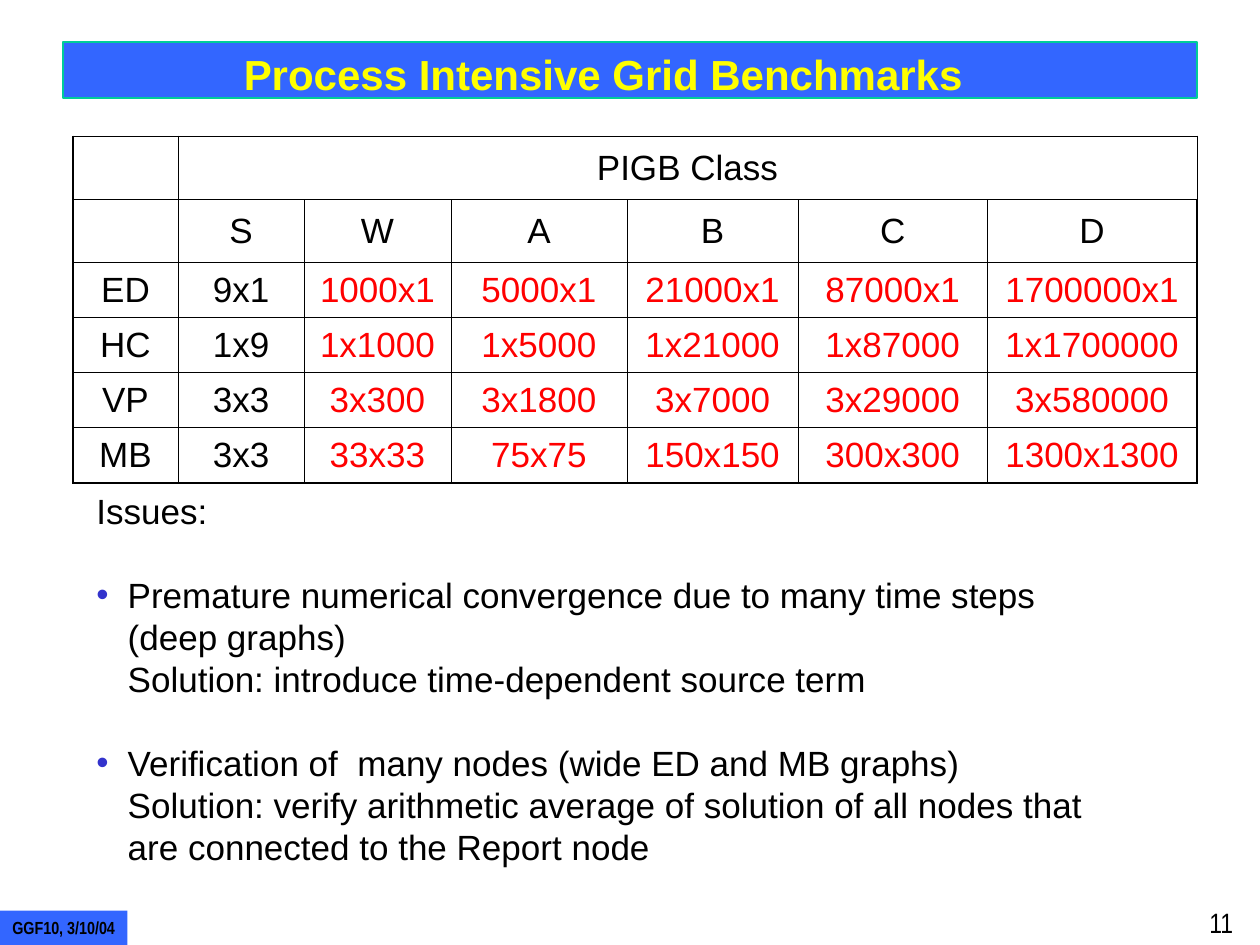
from lxml import etree
from pptx import Presentation
from pptx.dml.color import RGBColor
from pptx.enum.shapes import MSO_SHAPE
from pptx.enum.text import MSO_ANCHOR, MSO_AUTO_SIZE, PP_ALIGN
from pptx.oxml.ns import qn
from pptx.util import Cm, Pt

BLUE = RGBColor(0x33, 0x66, 0xFF)
TEAL = RGBColor(0x00, 0xCC, 0x99)
YELLOW = RGBColor(0xFF, 0xFF, 0x00)
BLACK = RGBColor(0x00, 0x00, 0x00)
RED = RGBColor(0xFF, 0x00, 0x00)
BULLET_BLUE = RGBColor(0x33, 0x33, 0xCC)

RECTANGLE = MSO_SHAPE.RECTANGLE
LEFT, CENTER = PP_ALIGN.LEFT, PP_ALIGN.CENTER
TOP, MIDDLE = MSO_ANCHOR.TOP, MSO_ANCHOR.MIDDLE
NO_AUTOFIT = MSO_AUTO_SIZE.NONE

HAIRLINE, OUTLINE = Pt(0.45), Pt(1.08)
COLUMN_WIDTHS = [2.12, 2.54, 2.96, 3.55, 3.45, 3.81, 4.23]
ROW_HEIGHTS = [1.27] * 2 + [1.11] * 4
BENCHMARKS = [
    ["", "PIGB Class", "", "", "", "", ""],
    ["", "S", "W", "A", "B", "C", "D"],
    ["ED", "9x1", "1000x1", "5000x1", "21000x1", "87000x1", "1700000x1"],
    ["HC", "1x9", "1x1000", "1x5000", "1x21000", "1x87000", "1x1700000"],
    ["VP", "3x3", "3x300", "3x1800", "3x7000", "3x29000", "3x580000"],
    ["MB", "3x3", "33x33", "75x75", "150x150", "300x300", "1300x1300"],
]
ISSUES = [
    "Issues:",
    "Premature numerical convergence due to many time steps (deep graphs)\n"
    "Solution: introduce time-dependent source term",
    "Verification of  many nodes (wide ED and MB graphs)\n"
    "Solution: verify arithmetic average of solution of all nodes that "
    "are connected to the Report node",
]


def format_runs(paragraph, size, color, font="Arial", bold=False):
    for run in paragraph.runs:
        run.font.name = font
        run.font.size = Pt(size)
        run.font.bold = bold
        run.font.color.rgb = color


def place(shape, left, top, width, height):
    shape.left, shape.top = Cm(left), Cm(top)
    shape.width, shape.height = Cm(width), Cm(height)


def prepare_frame(frame, wrap=True):
    frame.auto_size = NO_AUTOFIT
    frame.word_wrap = wrap
    frame.vertical_anchor = TOP


def add_band(slide, left, top, width, height):
    band = slide.shapes.add_shape(RECTANGLE, Cm(left), Cm(top), Cm(width), Cm(height))
    band.shadow.inherit = False
    band.fill.solid()
    band.fill.fore_color.rgb = BLUE
    return band


def add_title(slide):
    header = add_band(slide, 1.27, 0.85, 22.86, 1.13)
    header.line.color.rgb = TEAL
    header.line.width = Pt(0.75)
    title = slide.shapes.title
    header._element.addnext(title._element)
    place(title, 4.66, 0.85, 15.6, 1.27)
    prepare_frame(title.text_frame)
    title.text_frame.text = "Process Intensive Grid Benchmarks"
    paragraph = title.text_frame.paragraphs[0]
    paragraph.alignment = LEFT
    format_runs(paragraph, 24, YELLOW, bold=True)


def add_footer(slide):
    event = add_band(slide, 0, 18.36, 2.57, 0.69)
    event.line.fill.background()
    page = slide.shapes.add_textbox(Cm(24.13), Cm(18.13), Cm(1.27), Cm(0.92))
    for shape, text, size, bold in [(event, "GGF10, 3/10/04", 10, True), (page, "11", 16, False)]:
        prepare_frame(shape.text_frame, wrap=shape is page)
        shape.text_frame.text = text
        paragraph = shape.text_frame.paragraphs[0]
        paragraph.alignment = LEFT
        format_runs(paragraph, size, BLACK, "Arial Narrow", bold)


def set_borders(cell, widths):
    properties = cell._tc.get_or_add_tcPr()
    for side, width in widths.items():
        line = etree.SubElement(properties, qn(f"a:ln{side}"), w=str(width))
        fill = etree.SubElement(line, qn("a:solidFill"))
        etree.SubElement(fill, qn("a:srgbClr"), val=str(BLACK))


def add_benchmark_table(slide):
    row_count, column_count = len(ROW_HEIGHTS), len(COLUMN_WIDTHS)
    table = slide.shapes.add_table(
        row_count, column_count, Cm(1.47), Cm(2.75),
        Cm(sum(COLUMN_WIDTHS)), Cm(sum(ROW_HEIGHTS))).table
    table.first_row = False
    table.horz_banding = False
    for column, width in zip(table.columns, COLUMN_WIDTHS):
        column.width = Cm(width)
    for row, height in zip(table.rows, ROW_HEIGHTS):
        row.height = Cm(height)
    for r, values in enumerate(BENCHMARKS):
        for c, value in enumerate(values):
            cell = table.cell(r, c)
            set_borders(cell, {
                "L": OUTLINE if c == 0 else HAIRLINE,
                "R": OUTLINE if c == column_count - 1 else HAIRLINE,
                "T": OUTLINE if r == 0 else HAIRLINE,
                "B": OUTLINE if r == row_count - 1 else HAIRLINE,
            })
            cell.fill.background()
            cell.vertical_anchor = MIDDLE
            if value:
                cell.text_frame.text = value
                paragraph = cell.text_frame.paragraphs[0]
                paragraph.alignment = CENTER
                format_runs(paragraph, 20, RED if r > 1 and c > 1 else BLACK)
    table.cell(0, 1).merge(table.cell(0, column_count - 1))


def set_bullet(paragraph, bulleted):
    properties = paragraph._p.get_or_add_pPr()
    properties.set("marL", str(Cm(0.63)))
    properties.set("indent", str(-Cm(0.63)))
    if bulleted:
        color = etree.SubElement(properties, qn("a:buClr"))
        etree.SubElement(color, qn("a:srgbClr"), val=str(BULLET_BLUE))
        etree.SubElement(properties, qn("a:buFont"), typeface="Arial")
        etree.SubElement(properties, qn("a:buChar"), char="•")
    else:
        etree.SubElement(properties, qn("a:buNone"))


def add_issues(slide):
    body = slide.placeholders[1]
    place(body, 1.69, 9.74, 21.41, 7.87)
    frame = body.text_frame
    prepare_frame(frame)
    for i, issue in enumerate(ISSUES):
        paragraph = frame.add_paragraph() if i else frame.paragraphs[0]
        paragraph.text = issue
        set_bullet(paragraph, bulleted=i > 0)
        paragraph.alignment = LEFT
        paragraph.line_spacing = Pt(24)
        paragraph.space_before = Pt(24 if i else 0)
        format_runs(paragraph, 20, BLACK)


def main():
    presentation = Presentation()
    presentation.slide_width, presentation.slide_height = Cm(25.4), Cm(19.05)
    slide = presentation.slides.add_slide(presentation.slide_layouts[1])
    add_title(slide)
    add_footer(slide)
    add_benchmark_table(slide)
    add_issues(slide)
    presentation.save("out.pptx")


if __name__ == "__main__":
    main()
